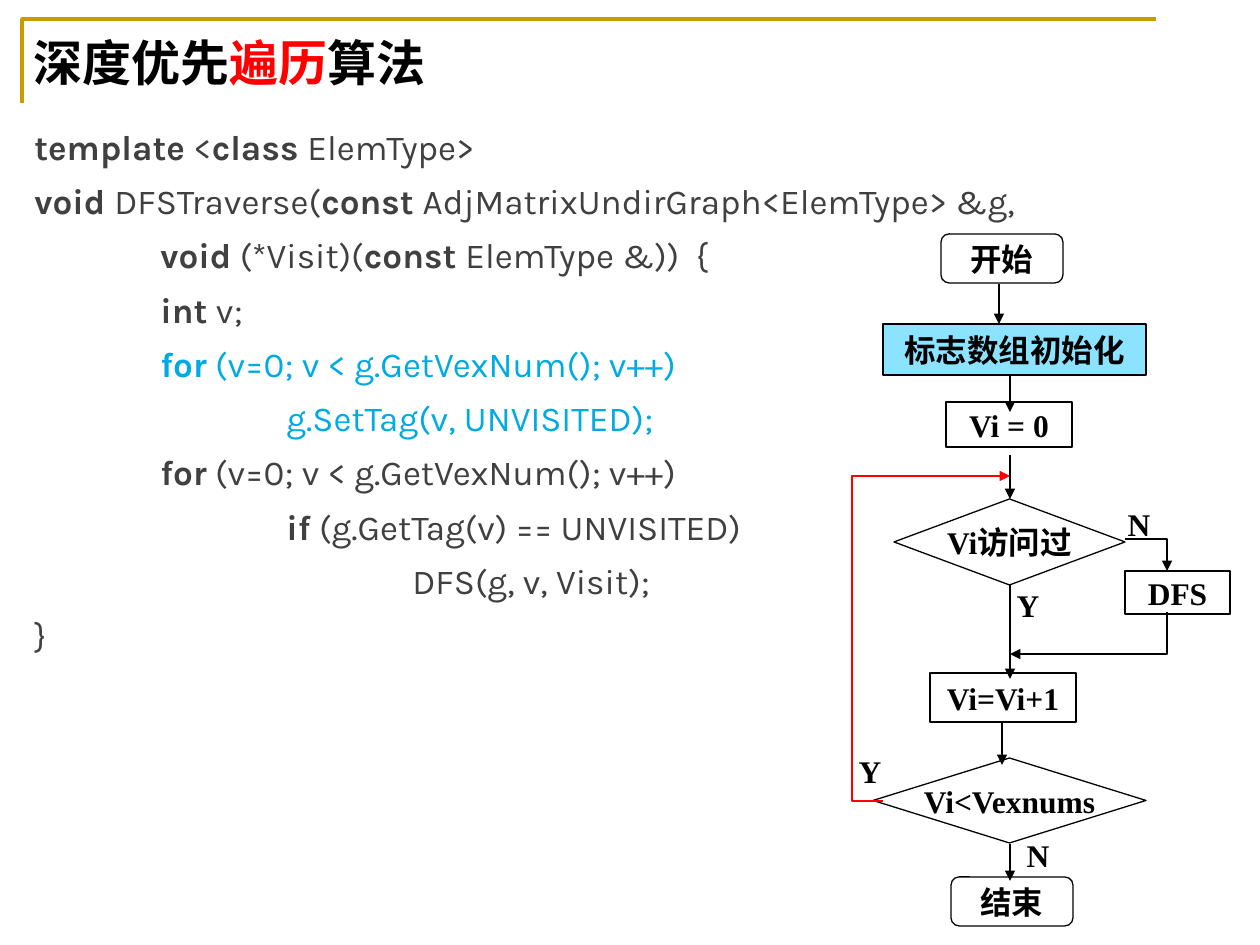
import pptx
import pptx.util
import pptx.oxml.ns
import pptx.dml.color
import lxml.etree
from pptx.enum.shapes import MSO_CONNECTOR, MSO_SHAPE
from pptx.enum.text import MSO_ANCHOR, MSO_AUTO_SIZE, PP_ALIGN
from dataclasses import dataclass

PX = 914400 / 126  # EMU in one px
TAB = 126  # px between tab stops


@dataclass(frozen=True)
class Theme:
    black: str = "000000"
    red: str = "FF0000"
    gold: str = "CC9900"
    code: str = "404040"
    code_accent: str = "00AAE2"
    box_fill: str = "8BE3FF"
    title_size: int = 28
    code_size: int = 20
    chart_size: int = 18
    title_font: str = "Noto Sans CJK JP"
    code_font: str = "Karla"
    chart_font: str = "Times New Roman"


THEME = Theme()

# Plain and bold parts alternate at each bar, starting with plain
CODE = [
    "|template| <|class |ElemType>",
    "|void |DFSTraverse(|const |AdjMatrixUndirGraph<ElemType> &g,",
    "\t|void| (*Visit)(|const |ElemType &))  {",
    "\t|int| v;",
    "\t|for| (v=0; v < g.GetVexNum(); v++)",
    "\t\tg.SetTag(v, UNVISITED);",
    "\t|for| (v=0; v < g.GetVexNum(); v++)",
    "\t\t|if| (g.GetTag(v) == UNVISITED)",
    "\t\t\tDFS(g, v, Visit);",
    "}",
]
ACCENT_LINES = (4, 5)

TERMINAL = MSO_SHAPE.FLOWCHART_ALTERNATE_PROCESS
PROCESS = MSO_SHAPE.FLOWCHART_PROCESS
DECISION = MSO_SHAPE.FLOWCHART_DECISION

# Kind, text, left, top, width, height, fill
NODES = [
    (TERMINAL, "开始", 941, 234, 122, 49, None),
    (PROCESS, "标志数组初始化", 883, 324, 263, 51, THEME.box_fill),
    (PROCESS, "Vi = 0", 946, 402, 126, 45, None),
    (DECISION, "Vi访问过", 894, 499, 231, 86, None),
    (PROCESS, "DFS", 1125, 571, 105, 43, None),
    (PROCESS, "Vi=Vi+1", 930, 673, 146, 49, None),
    (DECISION, "Vi<Vexnums", 873, 758, 273, 85, None),
    (TERMINAL, "结束", 951, 877, 122, 49, None),
]
# Vertical arrows: x, start, end
ARROWS = [
    (999, 284, 324),
    (1010, 375, 412),
    (1010, 455, 499),
    (1010, 585, 679),
    (1002, 723, 765),
    (1010, 844, 881),
]
BRANCHES = [
    (THEME.black, [(1125, 539), (1167, 539), (1167, 571)]),
    (THEME.black, [(1167, 612), (1167, 654), (1010, 654)]),
    (THEME.red, [(883, 801), (852, 801), (852, 476), (1010, 476)]),
]
LABELS = [("N", 1014, 830), ("Y", 1004, 580), ("N", 1115, 499), ("Y", 846, 746)]


def px(*lengths):
    return [pptx.util.Emu(round(length * PX)) for length in lengths]


def rgb(value):
    return pptx.dml.color.RGBColor.from_string(value)


def set_all(target, values):
    for name, value in values.items():
        setattr(target, name, value)


def add_element(parent, tag, **values):
    element = lxml.etree.SubElement(parent, pptx.oxml.ns.qn(tag))
    for name, value in values.items():
        element.set(name, str(value))
    return element


def add_span(para, text, font, size, color, bold=True):
    span = para.add_run()
    span.text = text
    set_all(span.font, {"name": font, "size": pptx.util.Pt(size), "bold": bold})
    span.font.color.rgb = rgb(color)
    add_element(span.font._element, "a:ea", typeface=THEME.title_font)


def style_line(shape, color, width=0.75, arrow=False):
    shape.line.color.rgb = rgb(color)
    shape.line.width = pptx.util.Pt(width)
    if arrow:
        outline = shape._element.spPr.find(pptx.oxml.ns.qn("a:ln"))
        add_element(outline, "a:tailEnd", type="triangle")


def add_path(page, points, color, width=0.75, arrow=False):
    builder = page.shapes.build_freeform(*points[0], scale=PX)
    builder.add_line_segments(points[1:], close=False)
    shape = builder.convert_to_shape()
    shape.shadow.inherit = False
    shape.fill.background()
    style_line(shape, color, width, arrow)


def add_arrow(page, x, start, end):
    line = page.shapes.add_connector(
        MSO_CONNECTOR.STRAIGHT, *px(x, start, x, end))
    style_line(line, THEME.black, arrow=True)
    add_element(line._element.spPr, "a:effectLst")


def write_chart_text(shape, text):
    frame = shape.text_frame
    set_all(frame, {"word_wrap": False, "vertical_anchor": MSO_ANCHOR.MIDDLE})
    para = frame.paragraphs[0]
    para.alignment = PP_ALIGN.CENTER
    add_span(para, text, THEME.chart_font, THEME.chart_size, THEME.black)


def add_node(page, kind, text, left, top, width, height, fill):
    node = page.shapes.add_shape(kind, *px(left, top, width, height))
    node.shadow.inherit = False
    if fill:
        node.fill.solid()
        node.fill.fore_color.rgb = rgb(fill)
    else:
        node.fill.background()
    style_line(node, THEME.black)
    sides = ("left", "right", "top", "bottom")
    set_all(node.text_frame, {f"margin_{side}": 0 for side in sides})
    write_chart_text(node, text)


def add_label(page, text, left, top):
    write_chart_text(page.shapes.add_textbox(*px(left, top, 48, 50)), text)


def write_title(page):
    title = page.shapes.title
    left, top, width, height = px(21, 26, 1207, 72)
    set_all(title, {"left": left, "top": top, "width": width, "height": height})
    set_all(title.text_frame, {"word_wrap": True,
                               "auto_size": MSO_AUTO_SIZE.NONE,
                               "vertical_anchor": MSO_ANCHOR.MIDDLE})
    para = title.text_frame.paragraphs[0]
    para.alignment = PP_ALIGN.JUSTIFY
    for text, color in (("深度优先", THEME.black), ("遍历", THEME.red),
                        ("算法", THEME.black)):
        add_span(para, text, THEME.title_font, THEME.title_size, color)


def add_code(page):
    frame = page.shapes.add_textbox(*px(22, 119, 1238, 560)).text_frame
    frame.word_wrap = True
    for index, line in enumerate(CODE):
        para = frame.add_paragraph() if index else frame.paragraphs[0]
        para.space_before = pptx.util.Pt(4 if index else 0)
        para.space_after = pptx.util.Pt(3)
        stops = add_element(para._p.get_or_add_pPr(), "a:tabLst")
        for position in px(TAB, 2 * TAB, 3 * TAB):
            add_element(stops, "a:tab", pos=int(position), algn="l")
        color = THEME.code_accent if index in ACCENT_LINES else THEME.code
        for part, text in enumerate(line.split("|")):
            if text:
                add_span(para, text, THEME.code_font, THEME.code_size,
                         color, bold=part % 2 == 1)


def main():
    deck = pptx.Presentation()
    deck.slide_width, deck.slide_height = px(1260, 945)
    page = deck.slides.add_slide(deck.slide_layouts[5])

    # Title with its corner rule, then the code
    add_path(page, [(22, 103), (22, 19), (1156, 19)], THEME.gold, width=2)
    write_title(page)
    add_code(page)

    # Flowchart
    for node in NODES:
        add_node(page, *node)
    for arrow in ARROWS:
        add_arrow(page, *arrow)
    for label in LABELS:
        add_label(page, *label)
    for color, points in BRANCHES:
        add_path(page, points, color, arrow=True)

    deck.save("out.pptx")


if __name__ == "__main__":
    main()
